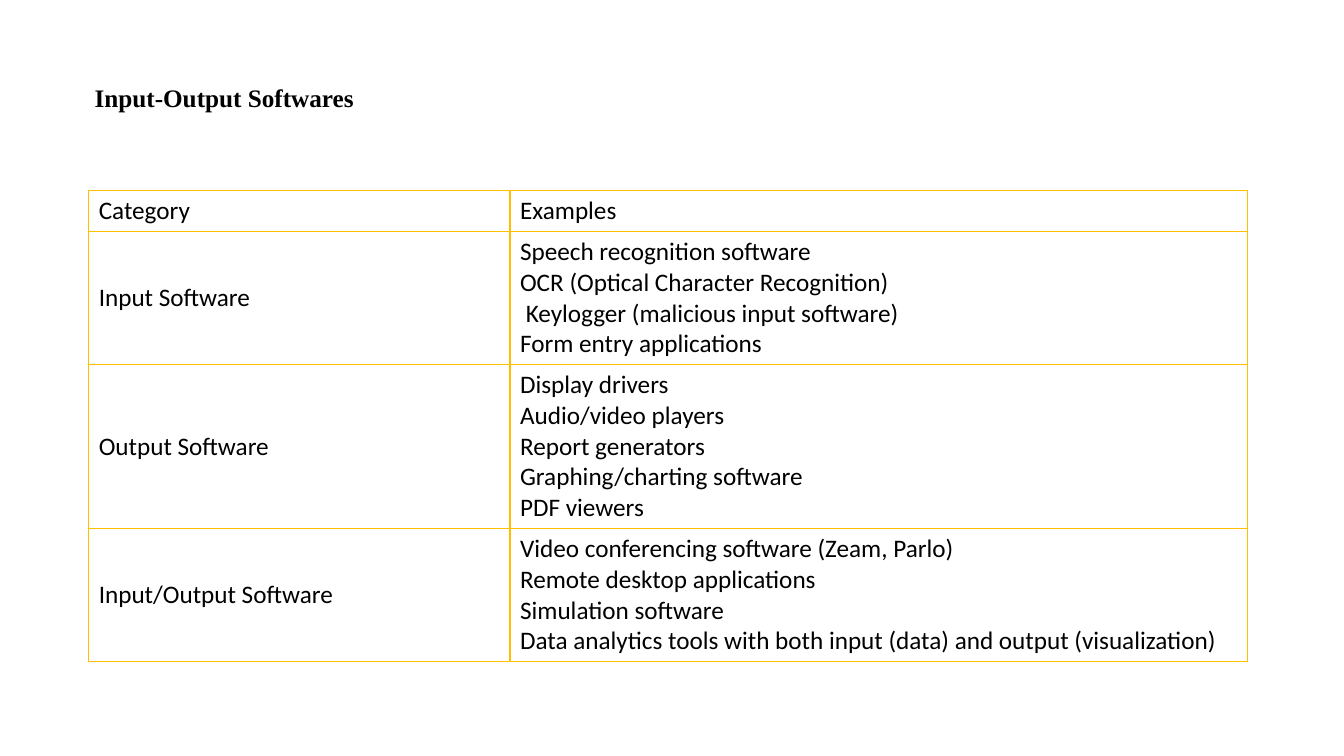
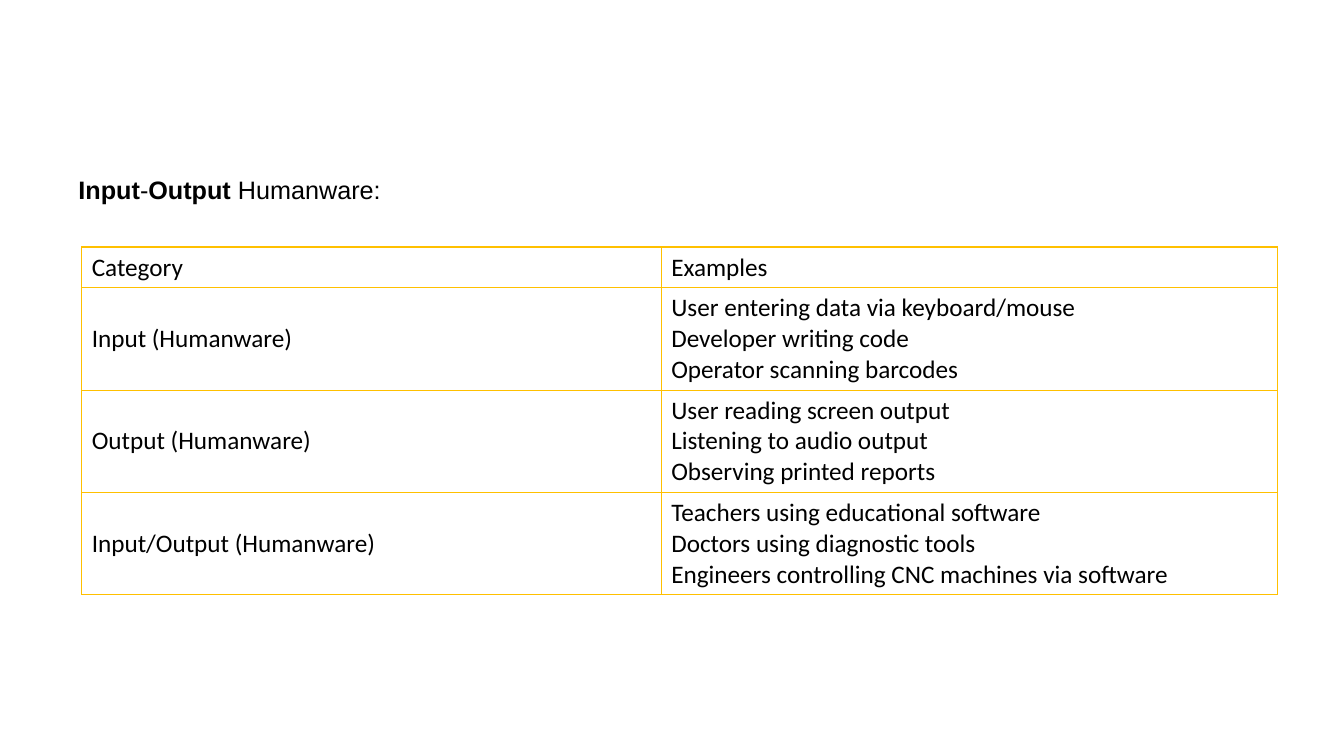
from dataclasses import dataclass

from lxml.etree import SubElement
from pptx import Presentation
from pptx.dml.color import RGBColor
from pptx.enum.text import MSO_ANCHOR, MSO_AUTO_SIZE
from pptx.oxml import parse_xml
from pptx.oxml.ns import nsdecls, qn
from pptx.util import Emu, Inches, Pt

WIDTH, HEIGHT = Inches(13.333), Inches(7.5)
COLORS = {"text": "000000", "border": "FFC000"}
TEXT_SIZE = Pt(18)
BORDER_WIDTH = Pt(1)
TITLE_HEIGHT = 5.33
LINE_HEIGHT, CELL_PADDING = 4.07, 1.33


@dataclass(frozen=True)
class Title:
    runs: tuple[tuple[str, bool], ...]
    font: str
    left: float
    top: float
    width: float
    anchor: MSO_ANCHOR = MSO_ANCHOR.TOP
    space_after: int = 0


@dataclass(frozen=True)
class Grid:
    left: float
    top: float
    columns: tuple[float, float]
    rows: tuple[tuple[str, tuple[str, ...]], ...]


HEADER = ("Category", ("Examples",))

SLIDES = (
    (
        Title((("Input-Output Softwares", True),), "Times New Roman",
              6.3, 10.27, 21, space_after=8),
        Grid(6.6, 25.2, (31.35, 54.9), (
            HEADER,
            ("Input Software", (
                "Speech recognition software",
                "OCR (Optical Character Recognition)",
                " Keylogger (malicious input software)",
                "Form entry applications",
            )),
            ("Output Software", (
                "Display drivers",
                "Audio/video players",
                "Report generators",
                "Graphing/charting software",
                "PDF viewers",
            )),
            ("Input/Output Software", (
                "Video conferencing software (Zeam, Parlo)",
                "Remote desktop applications",
                "Simulation software",
                "Data analytics tools with both input (data) and output (visualization)",
            )),
        )),
    ),
    (
        Title((("Input", True), ("-", False), ("Output ", True), ("Humanware:", False)),
              "Arial", 5.1, 22.4, 24.22, MSO_ANCHOR.MIDDLE),
        Grid(6.08, 32.67, (43.12, 45.83), (
            HEADER,
            ("Input (Humanware)", (
                "User entering data via keyboard/mouse",
                "Developer writing code",
                "Operator scanning barcodes",
            )),
            ("Output (Humanware)", (
                "User reading screen output",
                "Listening to audio output",
                "Observing printed reports",
            )),
            ("Input/Output (Humanware)", (
                "Teachers using educational software",
                "Doctors using diagnostic tools",
                "Engineers controlling CNC machines via software",
            )),
        )),
    ),
)


def across(percent: float) -> Emu:
    return Emu(round(WIDTH * percent / 100))


def down(percent: float) -> Emu:
    return Emu(round(HEIGHT * percent / 100))


def style(font, name: str) -> None:
    font.name = name
    font.size = TEXT_SIZE
    font.color.rgb = RGBColor.from_string(COLORS["text"])


def add_title(s, title: Title) -> None:
    sp = s.shapes.add_textbox(across(title.left), down(title.top),
                              across(title.width), down(TITLE_HEIGHT))
    tf = sp.text_frame
    tf.word_wrap = False
    tf.auto_size = MSO_AUTO_SIZE.SHAPE_TO_FIT_TEXT
    tf.vertical_anchor = title.anchor
    p = tf.paragraphs[0]
    p.space_after = Pt(title.space_after)
    style(p.font, title.font)
    for text, bold in title.runs:
        r = p.add_run()
        r.text = text
        r.font.bold = bold


def add_borders(cell) -> None:
    props = cell._tc.get_or_add_tcPr()
    for i, side in enumerate(("lnL", "lnR", "lnT", "lnB")):
        line = parse_xml(f'<a:{side} {nsdecls("a")} w="{BORDER_WIDTH}"/>')
        fill = SubElement(line, qn("a:solidFill"))
        SubElement(fill, qn("a:srgbClr"), val=COLORS["border"])
        props.insert(i, line)


def fill_cell(cell, lines: tuple[str, ...]) -> None:
    cell.fill.background()
    cell.vertical_anchor = MSO_ANCHOR.MIDDLE
    cell.text = "\n".join(lines)
    for p in cell.text_frame.paragraphs:
        style(p.font, "Calibri")
    add_borders(cell)


def add_grid(s, grid: Grid) -> None:
    heights = [CELL_PADDING + LINE_HEIGHT * len(lines) for _, lines in grid.rows]
    table = s.shapes.add_table(
        len(grid.rows), len(grid.columns), across(grid.left), down(grid.top),
        across(sum(grid.columns)), down(sum(heights))).table
    table.first_row = False
    table.horz_banding = False
    for column, width in zip(table.columns, grid.columns):
        column.width = across(width)
    for row, height, (category, examples) in zip(table.rows, heights, grid.rows):
        row.height = down(height)
        for cell, lines in zip(row.cells, ((category,), examples)):
            fill_cell(cell, lines)


def main() -> None:
    prs = Presentation()
    prs.slide_width, prs.slide_height = WIDTH, HEIGHT
    for title, grid in SLIDES:
        s = prs.slides.add_slide(prs.slide_layouts[6])
        add_grid(s, grid)
        add_title(s, title)
    prs.save("out.pptx")


if __name__ == "__main__":
    main()
